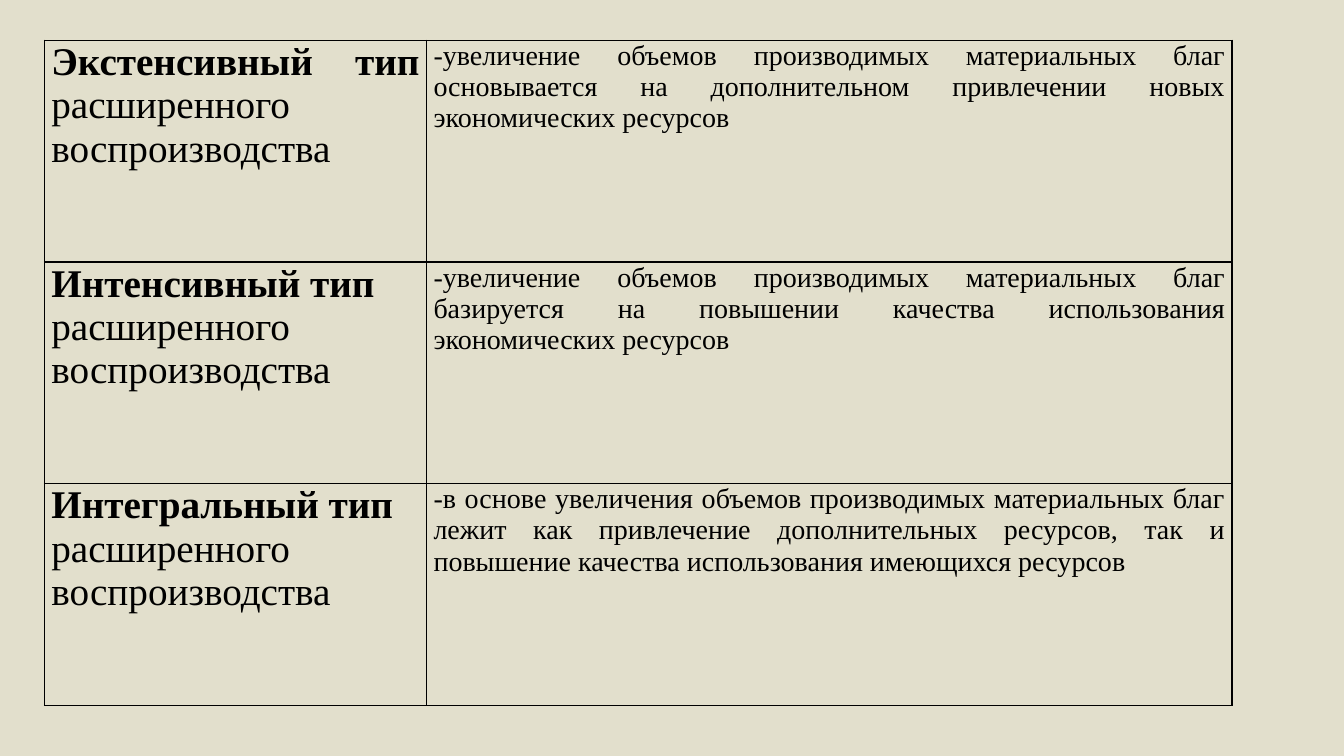
from lxml.etree import SubElement
from pptx import Presentation
from pptx.dml.color import RGBColor
from pptx.enum.text import PP_ALIGN
from pptx.oxml.ns import qn
from pptx.util import Inches, Pt

BACKGROUND = "E2DFCC"
INK = "000000"
FONT = "Times New Roman"
COLUMN_WIDTHS = (3.79, 7.99)
ROW_HEIGHT = 2.2
TYPE_ENDING = " расширенного воспроизводства"
REPRODUCTION_TYPES = [
    ("Экстенсивный тип", PP_ALIGN.JUSTIFY,
     "-увеличение объемов производимых материальных благ основывается "
     "на дополнительном привлечении новых экономических ресурсов"),
    ("Интенсивный тип", PP_ALIGN.LEFT,
     "-увеличение объемов производимых материальных благ базируется "
     "на повышении качества использования экономических ресурсов"),
    ("Интегральный тип", PP_ALIGN.LEFT,
     "-в основе увеличения объемов производимых материальных благ лежит "
     "как привлечение дополнительных ресурсов, так и повышение качества "
     "использования имеющихся ресурсов"),
]


def color(value):
    return RGBColor.from_string(value)


def add_borders(cell):
    properties = cell._tc.get_or_add_tcPr()
    for position, side in enumerate(("lnL", "lnR", "lnT", "lnB")):
        border = SubElement(properties, qn(f"a:{side}"), w=str(Pt(1)))
        fill = SubElement(border, qn("a:solidFill"))
        SubElement(fill, qn("a:srgbClr"), val=INK)
        properties.insert(position, border)


def fill_cell(cell, runs, size, alignment):
    cell.margin_left = cell.margin_right = Inches(0.07)
    cell.margin_top = cell.margin_bottom = 0
    cell.fill.background()
    add_borders(cell)
    paragraph = cell.text_frame.paragraphs[0]
    paragraph.alignment = alignment
    paragraph.font.name = FONT
    paragraph.font.size = Pt(size)
    paragraph.font.color.rgb = color(INK)
    for text, bold in runs:
        run = paragraph.add_run()
        run.text = text
        run.font.name = FONT
        run.font.size = Pt(size)
        run.font.bold = bold
        run.font.color.rgb = color(INK)


def add_types_table(slide):
    row_count = len(REPRODUCTION_TYPES)
    table = slide.shapes.add_table(
        row_count, len(COLUMN_WIDTHS), Inches(0.44), Inches(0.4),
        Inches(sum(COLUMN_WIDTHS)), Inches(ROW_HEIGHT * row_count)).table
    table.first_row = False
    table.horz_banding = False
    for column, width in zip(table.columns, COLUMN_WIDTHS):
        column.width = Inches(width)
    for row, (title, alignment, description) in zip(table.rows, REPRODUCTION_TYPES):
        row.height = Inches(ROW_HEIGHT)
        type_cell, description_cell = row.cells
        fill_cell(type_cell, [(title, True), (TYPE_ENDING, False)], 28, alignment)
        fill_cell(description_cell, [(description, False)], 20, PP_ALIGN.JUSTIFY)


def main():
    presentation = Presentation()
    presentation.slide_width = Inches(13.33)
    presentation.slide_height = Inches(7.5)
    slide = presentation.slides.add_slide(presentation.slide_layouts[6])
    slide.background.fill.solid()
    slide.background.fill.fore_color.rgb = color(BACKGROUND)
    add_types_table(slide)
    presentation.save("out.pptx")


if __name__ == "__main__":
    main()
